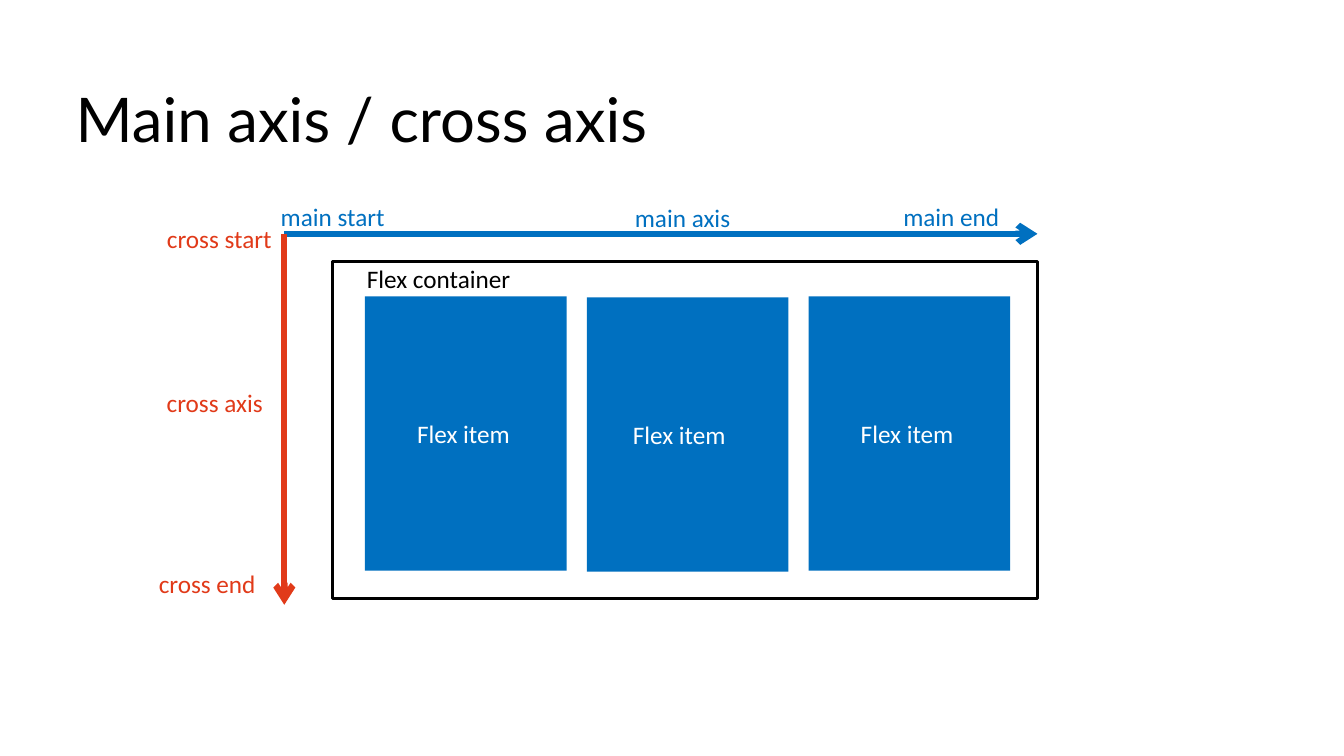
from dataclasses import dataclass

from lxml.etree import SubElement
from pptx import Presentation
from pptx.dml.color import RGBColor
from pptx.enum.shapes import MSO_CONNECTOR as Connector, MSO_SHAPE as Shape
from pptx.enum.text import MSO_ANCHOR as Anchor, PP_ALIGN as Align
from pptx.oxml.ns import qn
from pptx.slide import Slide
from pptx.util import Emu, Pt

EMU_PER_PX = 9144
BLACK, WHITE, BLUE, RED = "000000", "FFFFFF", "0070C0", "E13A19"
ITEM_LEFT, ITEM_PITCH, ITEM_WIDTH, ITEM_HEIGHT = 362, 220, 200, 272
LABEL_HEIGHT = 40


@dataclass(frozen=True)
class Label:
    """Text with its place, colour and format."""
    text: str
    left: int
    top: int
    width: int
    color: str
    height: int = LABEL_HEIGHT
    size: int = 18
    font: str = "Calibri"
    align: Align = Align.CENTER
    inset: int = 10
    wrap: bool = False


@dataclass(frozen=True)
class Panel:
    """Rectangle with a fill and an optional outline."""
    left: int
    top: int
    width: int
    height: int
    fill: str
    outline: str = ""


@dataclass(frozen=True)
class Axis:
    """Arrow along one flex direction."""
    start: tuple[int, int]
    end: tuple[int, int]
    color: str


@dataclass(frozen=True)
class Item:
    """Flex item with its top and the left offset of its label."""
    top: int
    label_offset: int


TITLE = Label("Main axis / cross axis", 75, 75, 1183, BLACK, 525, 44, "Lato", Align.LEFT, 0, True)
CONTAINER = Panel(330, 259, 699, 335, WHITE, BLACK)
AXES = [
    Axis((282, 232), (1029, 232), BLUE),
    Axis((282, 232), (282, 600), RED),
]
LABELS = [
    Label("main start", 268, 195, 124, BLUE),
    Label("main axis", 619, 196, 116, BLUE),
    Label("main end", 885, 195, 117, BLUE),
    Label("cross start", 155, 217, 125, RED),
    Label("cross axis", 155, 379, 116, RED),
    Label("cross end", 147, 559, 117, RED),
    Label("Flex container", 353, 256, 164, BLACK),
]
ITEMS = [Item(294, 41), Item(295, 35), Item(294, 41)]


def px(*lengths: int) -> list[Emu]:
    """Turn px lengths into EMU."""
    return [Emu(length * EMU_PER_PX) for length in lengths]


def rgb(color: str) -> RGBColor:
    """Turn a hex string into a colour."""
    return RGBColor.from_string(color)


def apply(target: object, values: dict[str, object]) -> None:
    """Set every attribute listed in values."""
    for name, value in values.items():
        setattr(target, name, value)


def draw_label(page: Slide, label: Label) -> None:
    """Add a text box holding one line."""
    box = page.shapes.add_textbox(*px(label.left, label.top, label.width, label.height))
    inset, right, edge = px(label.inset, 10, 5)
    apply(box.text_frame, {
        "word_wrap": label.wrap, "vertical_anchor": Anchor.TOP, "margin_left": inset,
        "margin_right": right, "margin_top": edge, "margin_bottom": edge,
    })
    para = box.text_frame.paragraphs[0]
    para.alignment = label.align
    span = para.add_run()
    span.text = label.text
    apply(span.font, {"name": label.font, "size": Pt(label.size)})
    span.font.color.rgb = rgb(label.color)


def draw_panel(page: Slide, panel: Panel) -> None:
    """Add a filled rectangle."""
    place = px(panel.left, panel.top, panel.width, panel.height)
    box = page.shapes.add_shape(Shape.RECTANGLE, *place)
    box.shadow.inherit = False
    box.fill.solid()
    box.fill.fore_color.rgb = rgb(panel.fill)
    if panel.outline:
        box.line.color.rgb = rgb(panel.outline)
        box.line.width = Pt(2.25)
    else:
        box.line.fill.background()


def draw_axis(page: Slide, axis: Axis) -> None:
    """Add a straight line with an open arrowhead at its end."""
    arrow = page.shapes.add_connector(Connector.STRAIGHT, *px(*axis.start, *axis.end))
    arrow.line.color.rgb = rgb(axis.color)
    arrow.line.width = Pt(4.5)
    SubElement(arrow.line._get_or_add_ln(), qn("a:tailEnd"), type="arrow")
    SubElement(arrow._element.spPr, qn("a:effectLst"))


def draw_item(page: Slide, item: Item, index: int) -> None:
    """Add a flex item and its label."""
    left = ITEM_LEFT + index * ITEM_PITCH
    draw_panel(page, Panel(left, item.top, ITEM_WIDTH, ITEM_HEIGHT, BLUE))
    draw_label(page, Label("Flex item ", left + item.label_offset, item.top + 116, 119,
                           WHITE, wrap=True))


def main() -> None:
    """Build the slide and save it."""
    deck = Presentation()
    width, height = px(1333, 750)
    apply(deck, {"slide_width": width, "slide_height": height})
    page = deck.slides.add_slide(deck.slide_layouts[6])
    draw_label(page, TITLE)
    draw_panel(page, CONTAINER)
    for axis in AXES:
        draw_axis(page, axis)
    for label in LABELS:
        draw_label(page, label)
    for index, item in enumerate(ITEMS):
        draw_item(page, item, index)
    deck.save("out.pptx")


if __name__ == "__main__":
    main()
